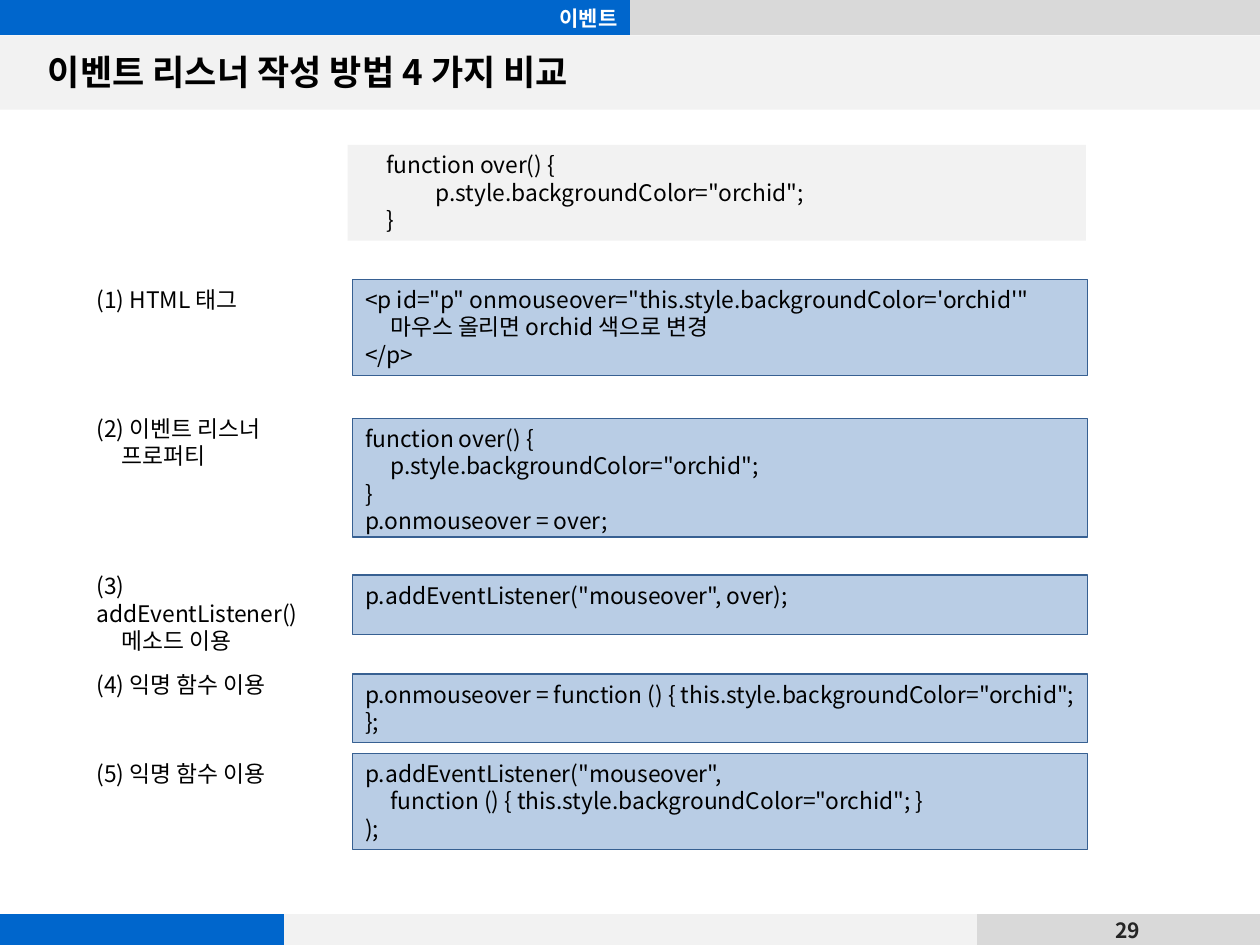
from lxml.etree import SubElement
from pptx import Presentation
from pptx.dml.color import RGBColor
from pptx.enum.shapes import MSO_SHAPE
from pptx.enum.text import MSO_ANCHOR, PP_ALIGN
from pptx.oxml.ns import qn
from pptx.util import Pt

FONT = "Noto Sans CJK KR"
BLUE = RGBColor(0x00, 0x66, 0xCC)
LIGHT_GRAY = RGBColor(0xF2, 0xF2, 0xF2)
GRAY = RGBColor(0xD9, 0xD9, 0xD9)
CODE_FILL = RGBColor(0xB9, 0xCD, 0xE5)
CODE_LINE = RGBColor(0x37, 0x60, 0x92)
BLACK = RGBColor(0x00, 0x00, 0x00)
DARK = RGBColor(0x26, 0x26, 0x26)
WHITE = RGBColor(0xFF, 0xFF, 0xFF)

TITLE = "이벤트 리스너 작성 방법 4 가지 비교"
CHAPTER = "이벤트"
PAGE_NUMBER = "29"
TAB = 14.4
LABEL_LEFT, LABEL_WIDTH = 48.2, 144
CODE_LEFT, CODE_WIDTH = 201.6, 419.8

HEADER_CELLS = [(360, BLUE), (360, GRAY)]
FOOTER_CELLS = [(162, BLUE), (396, LIGHT_GRAY), (2, GRAY), (96.5, GRAY), (65.5, GRAY)]

HANDLER = [
    ("function over() {", 15),
    ('p.style.backgroundColor="orchid";', 43.2),
    ("}", 15),
]

METHODS = [
    {
        "label": [("(1) HTML 태그", 0)], "label_top": 159.8,
        "code": [
            ("<p id=\"p\" onmouseover=\"this.style.backgroundColor='orchid'\"", 0),
            ("마우스 올리면 orchid 색으로 변경", TAB),
            ("</p>", 0),
        ],
        "top": 159.8, "height": 54.8,
    },
    {
        "label": [("(2) 이벤트 리스너", 0), ("프로퍼티", TAB)], "label_top": 233.5,
        "code": [
            ("function over() {", 0),
            ('p.style.backgroundColor="orchid";', TAB),
            ("}", 0),
            ("p.onmouseover = over;", 0),
        ],
        "top": 239.2, "height": 67.8,
    },
    {
        "label": [("(3) addEventListener()", 0), ("메소드 이용", TAB)], "label_top": 323.4,
        "code": [('p.addEventListener("mouseover", over);', 0)],
        "top": 328.6, "height": 34,
    },
    {
        "label": [("(4) 익명 함수 이용", 0)], "label_top": 379.8,
        "code": [('p.onmouseover = function () { this.style.backgroundColor="orchid"; };', 0)],
        "top": 385.2, "height": 39,
    },
    {
        "label": [("(5) 익명 함수 이용", 0)], "label_top": 430.6,
        "code": [
            ('p.addEventListener("mouseover",', 0),
            ('function () { this.style.backgroundColor="orchid"; }', TAB),
            (");", 0),
        ],
        "top": 430.6, "height": 54.8,
    },
]


def write(box, lines, size=13, color=BLACK, bold=False, align=PP_ALIGN.LEFT, anchor=MSO_ANCHOR.TOP):
    """Fill a shape with (text, indent) lines in one style."""
    frame = box.text_frame
    frame.word_wrap = True
    frame.vertical_anchor = anchor
    for index, (text, indent) in enumerate(lines):
        para = frame.paragraphs[0] if index == 0 else frame.add_paragraph()
        para.text = text
        para.alignment = align
        font = para.font
        font.name, font.size, font.bold = FONT, Pt(size), bold
        font.color.rgb = color
        properties = para._p.get_or_add_pPr()
        SubElement(properties.find(qn("a:defRPr")), qn("a:ea"), typeface=FONT)
        if indent:
            properties.set("marL", str(Pt(indent)))
            properties.set("indent", "0")


def add_box(page, left, top, width, height, fill, line=None):
    """Add a flat rectangle."""
    box = page.shapes.add_shape(MSO_SHAPE.RECTANGLE, Pt(left), Pt(top), Pt(width), Pt(height))
    box.shadow.inherit = False
    box.fill.solid()
    box.fill.fore_color.rgb = fill
    if line is None:
        box.line.fill.background()
    else:
        box.line.color.rgb = line
        box.line.width = Pt(0.75)
    return box


def add_text(page, left, top, width, height, lines, **style):
    """Add a text box."""
    box = page.shapes.add_textbox(Pt(left), Pt(top), Pt(width), Pt(height))
    write(box, lines, **style)
    return box


def add_bar(page, top, height, cells):
    """Add a one-row table of coloured, empty cells."""
    width = sum(cell_width for cell_width, color in cells)
    table = page.shapes.add_table(1, len(cells), 0, Pt(top), Pt(width), Pt(height)).table
    table.first_row = table.horz_banding = False
    for column, cell, (cell_width, color) in zip(table.columns, table.rows[0].cells, cells):
        column.width = Pt(cell_width)
        cell.fill.solid()
        cell.fill.fore_color.rgb = color
        cell.margin_left = cell.margin_right = cell.margin_top = cell.margin_bottom = 0
        SubElement(cell.text_frame.paragraphs[0]._p, qn("a:endParaRPr"), sz="800")
        for side in ("a:lnB", "a:lnT", "a:lnR", "a:lnL"):
            border = cell._tc.tcPr.makeelement(qn(side), {"w": "0"})
            SubElement(border, qn("a:noFill"))
            cell._tc.tcPr.insert(0, border)


def main():
    """Build the comparison of event listener styles."""
    deck = Presentation()
    deck.slide_width, deck.slide_height = Pt(720), Pt(540)
    page = deck.slides.add_slide(deck.slide_layouts[5])

    add_box(page, 0, 20.2, 720, 42.5, LIGHT_GRAY)
    add_bar(page, 0, 20.2, HEADER_CELLS)
    add_bar(page, 522, 19.4, FOOTER_CELLS)
    add_text(page, 609.8, 522, 69, 18.7, [(PAGE_NUMBER, 0)], size=12, color=DARK,
             bold=True, align=PP_ALIGN.CENTER, anchor=MSO_ANCHOR.MIDDLE)

    title = page.shapes.title
    title.left, title.top, title.width, title.height = Pt(20.2), Pt(20.9), Pt(680.4), Pt(40.3)
    write(title, [(TITLE, 0)], size=20, bold=True, anchor=MSO_ANCHOR.MIDDLE)
    page.shapes._spTree.append(title._element)

    for method in METHODS:
        box = add_box(page, CODE_LEFT, method["top"], CODE_WIDTH, method["height"], CODE_FILL, CODE_LINE)
        write(box, method["code"])
        label_height = 7.2 + 15.8 * len(method["label"])
        add_text(page, LABEL_LEFT, method["label_top"], LABEL_WIDTH, label_height, method["label"])

    write(add_box(page, 198.7, 82.8, 421.9, 54.7, LIGHT_GRAY), HANDLER)
    add_text(page, 0, 0, 360, 20.2, [(CHAPTER, 0)], size=12, color=WHITE,
             bold=True, align=PP_ALIGN.RIGHT, anchor=MSO_ANCHOR.MIDDLE)

    deck.save("out.pptx")


if __name__ == "__main__":
    main()
